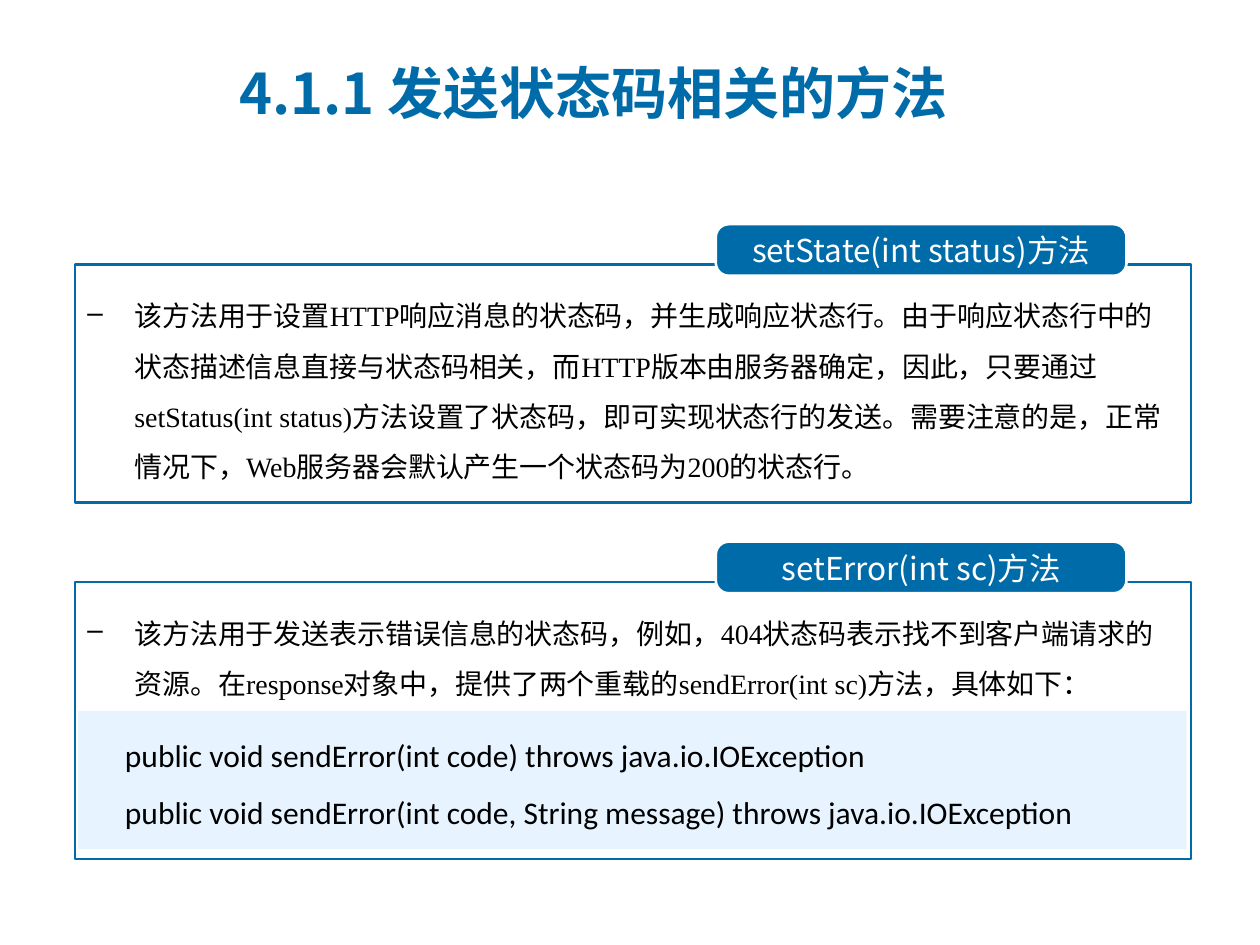
from dataclasses import dataclass

from lxml.etree import SubElement
from pptx import Presentation
from pptx.dml.color import RGBColor
from pptx.enum.shapes import MSO_SHAPE
from pptx.enum.text import MSO_ANCHOR, MSO_AUTO_SIZE, PP_ALIGN
from pptx.oxml.ns import qn
from pptx.util import Cm, Pt


@dataclass(frozen=True)
class Theme:
    blue: RGBColor = RGBColor(0x00, 0x6B, 0xA9)
    pale: RGBColor = RGBColor(0xE7, 0xF4, 0xFF)
    white: RGBColor = RGBColor(0xFF, 0xFF, 0xFF)
    black: RGBColor = RGBColor(0, 0, 0)
    sans: str = "Noto Sans CJK SC"
    serif: str = "Times New Roman"
    code: str = "Calibri"
    title_size: int = 32
    label_size: int = 18
    body_size: int = 16
    line: float = 1.5


T = Theme()
LEFT, WIDTH = 1.51, 22.5

SECTIONS = [
    (5.33, 4.8, "setState(int status)方法",
     "该方法用于设置HTTP响应消息的状态码，并生成响应状态行。由于响应状态行中的状态描述信息直接与状态码相关，"
     "而HTTP版本由服务器确定，因此，只要通过setStatus(int status)方法设置了状态码，即可实现状态行的发送。"
     "需要注意的是，正常情况下，Web服务器会默认产生一个状态码为200的状态行。"),
    (11.73, 5.59, "setError(int sc)方法",
     "该方法用于发送表示错误信息的状态码，例如，404状态码表示找不到客户端请求的资源。"
     "在response对象中，提供了两个重载的sendError(int sc)方法，具体如下："),
]
CODE = [
    "public void sendError(int code) throws java.io.IOException",
    "public void sendError(int code, String message) throws java.io.IOException",
]


def add_run(p, text, font, size, color, bold=False):
    r = p.add_run()
    r.text = text
    r.font.name = font
    r.font.size = Pt(size)
    r.font.color.rgb = color
    r.font.bold = bold
    SubElement(r._r.get_or_add_rPr(), qn("a:ea"), typeface=T.sans)


def set_indent(p, margin, first=0.0):
    pPr = p._p.get_or_add_pPr()
    pPr.set("marL", str(Cm(margin)))
    pPr.set("indent", str(Cm(first)))
    return pPr


def add_box(s, kind, x, y, w, h, fill=None, line=None):
    sp = s.shapes.add_shape(kind, Cm(x), Cm(y), Cm(w), Cm(h))
    sp.shadow.inherit = False
    if fill is None:
        sp.fill.background()
    else:
        sp.fill.solid()
        sp.fill.fore_color.rgb = fill
    if line is None:
        sp.line.fill.background()
    else:
        sp.line.color.rgb = line
        sp.line.width = Pt(T.line)
    return sp


def add_title(s, text):
    sp = s.shapes.title
    sp.left, sp.top, sp.width, sp.height = Cm(4.57), Cm(1.09), Cm(17.73), Cm(1.55)
    tf = sp.text_frame
    tf.auto_size = MSO_AUTO_SIZE.NONE
    tf.vertical_anchor = MSO_ANCHOR.MIDDLE
    p = tf.paragraphs[0]
    p.alignment = PP_ALIGN.LEFT
    add_run(p, text, T.sans, T.title_size, T.blue, True)


def add_description(s, y, h, text):
    tf = s.shapes.add_textbox(Cm(LEFT), Cm(y), Cm(WIDTH), Cm(h)).text_frame
    tf.word_wrap = True
    p = tf.paragraphs[0]
    p.line_spacing = 1.5
    p.space_before = Pt(T.body_size * 0.2)
    SubElement(set_indent(p, 0.95, -0.95), qn("a:buChar"), char="–")
    add_run(p, text, T.serif, T.body_size, T.black)


def add_tag(s, y, text):
    sp = add_box(s, MSO_SHAPE.ROUNDED_RECTANGLE, 14.43, y, 8.28, 1.04, T.blue, T.white)
    sp.adjustments[0] = 0.25
    tf = sp.text_frame
    tf.word_wrap = False
    tf.margin_left = tf.margin_right = Cm(0.25)
    tf.margin_top = tf.margin_bottom = Cm(0.15)
    tf.vertical_anchor = MSO_ANCHOR.MIDDLE
    p = tf.paragraphs[0]
    p.alignment = PP_ALIGN.CENTER
    add_run(p, text, T.sans, T.label_size, T.white)


def add_section(s, y, h, tag, text):
    add_description(s, y + 0.23, h - 0.46, text)
    add_box(s, MSO_SHAPE.RECTANGLE, LEFT, y, WIDTH, h, line=T.blue)
    add_tag(s, y - 0.81, tag)


def add_code(s, lines):
    sp = add_box(s, MSO_SHAPE.RECTANGLE, 1.57, 14.33, 22.35, 2.79, T.pale)
    tf = sp.text_frame
    tf.vertical_anchor = MSO_ANCHOR.TOP
    for i, line in enumerate(lines):
        p = tf.add_paragraph() if i else tf.paragraphs[0]
        p.alignment = PP_ALIGN.LEFT
        p.line_spacing = 1.5
        set_indent(p, 0.7)
        add_run(p, line, T.code, T.label_size, T.black)


def main():
    prs = Presentation()
    prs.slide_width, prs.slide_height = Cm(25.4), Cm(19.05)
    s = prs.slides.add_slide(prs.slide_layouts[5])
    add_title(s, "4.1.1 发送状态码相关的方法")
    for section in SECTIONS:
        add_section(s, *section)
    add_code(s, CODE)
    prs.save("out.pptx")


if __name__ == "__main__":
    main()
